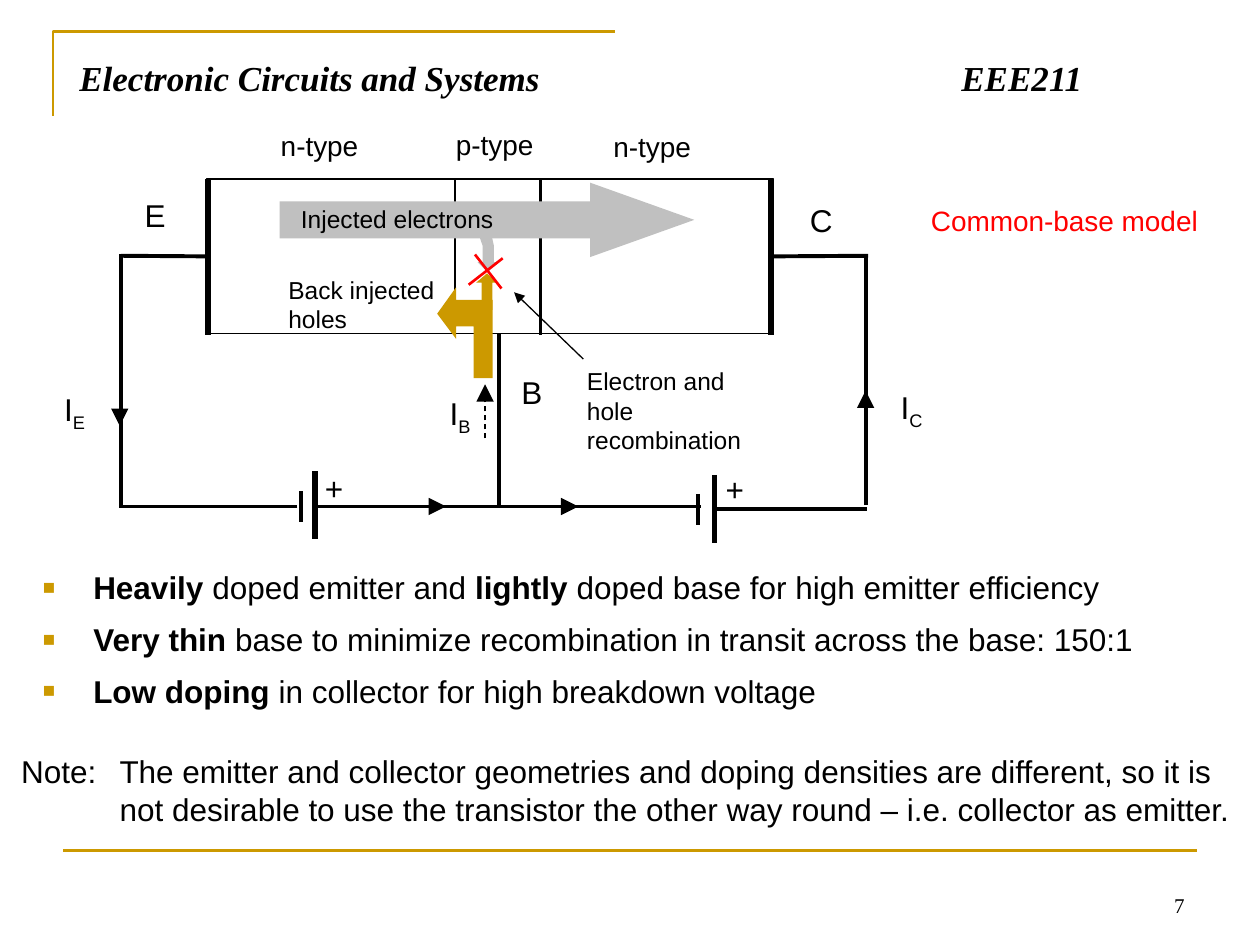
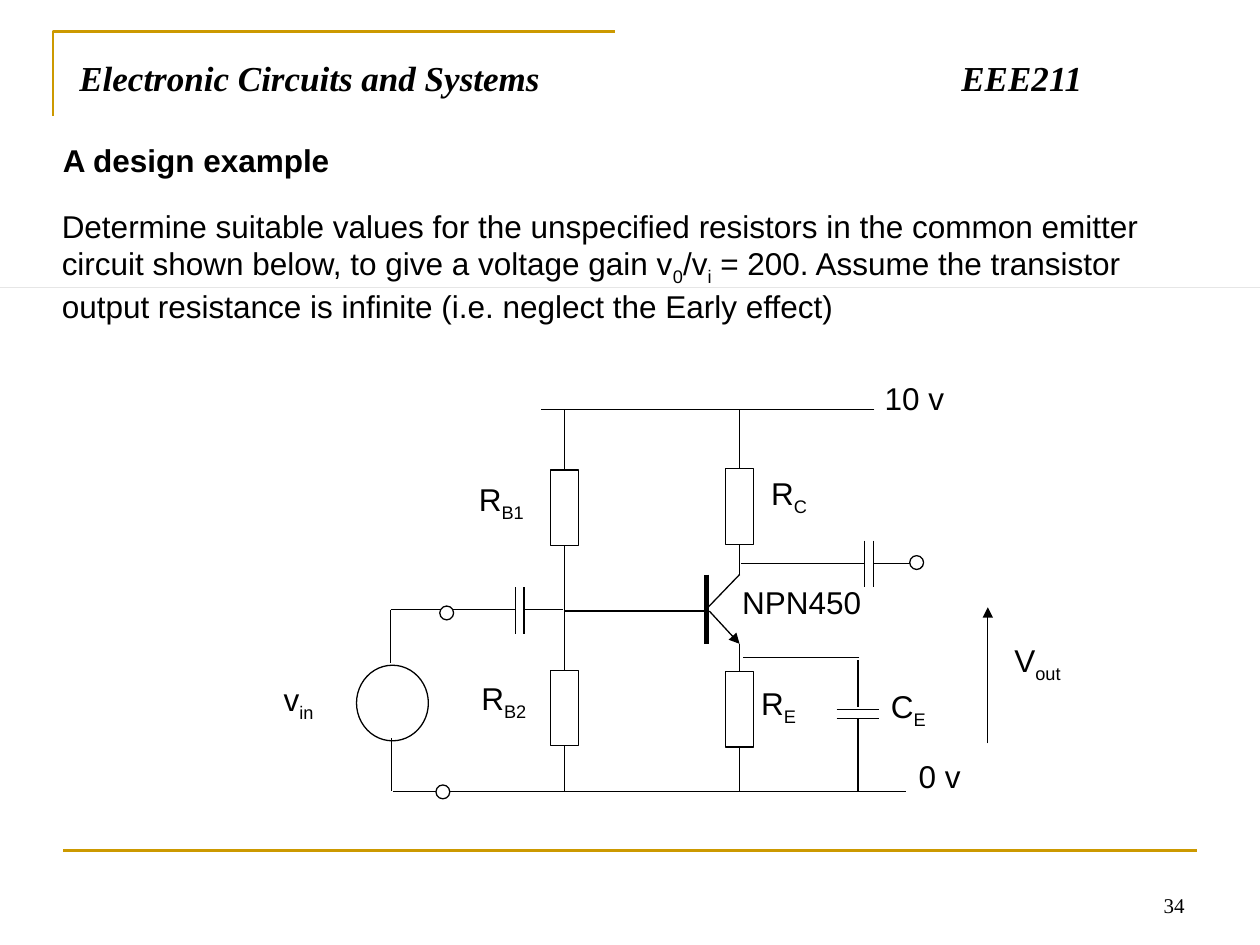
"""Build two lecture slides on bipolar transistors: common-base model and a design example."""
import pptx
import pptx.util
import pptx.dml.color
import pptx.enum.dml
import pptx.enum.shapes
import pptx.enum.text
import pptx.oxml.ns
from lxml import etree

Inches, Pt, qn = pptx.util.Inches, pptx.util.Pt, pptx.oxml.ns.qn
MSO_SHAPE = pptx.enum.shapes.MSO_SHAPE
COLORS = {"black": "000000", "gold": "CC9900", "silver": "C0C0C0", "red": "FF0000",
          "white": "FFFFFF", "hairline": "E6E6E6"}
RGB = {name: pptx.dml.color.RGBColor.from_string(code) for name, code in COLORS.items()}
SANS, SERIF = "Arial", "Times New Roman"


def write(paragraph, text, size=18, color="black", accent="subscript", font=SANS):
    """Fill a paragraph; every second part between bars is a subscript or bold."""
    for index, part in enumerate(text.split("|")):
        if not part:
            continue
        run = paragraph.add_run()
        run.text = part
        run.font.name, run.font.size = font, Pt(size)
        run.font.color.rgb = RGB[color]
        run.font.bold = accent == "bold" and index % 2 == 1
        if accent == "subscript" and index % 2 == 1:
            run.font._element.set("baseline", "-25000")


def wire(slide, x1, y1, x2, y2, weight=0.75, color="black", head=None, dashed=False):
    """Draw a straight line, with an arrowhead of the given size at its end."""
    connector = slide.shapes.add_connector(
        pptx.enum.shapes.MSO_CONNECTOR.STRAIGHT, Inches(x1), Inches(y1), Inches(x2), Inches(y2))
    connector.line.width = Pt(weight)
    connector.line.color.rgb = RGB[color]
    if dashed:
        connector.line.dash_style = pptx.enum.dml.MSO_LINE.DASH
    properties = connector.element.spPr
    if head:
        etree.SubElement(properties.find(qn("a:ln")), qn("a:tailEnd"),
                         type="triangle", w=head, len=head)
    etree.SubElement(properties, qn("a:effectLst"))
    return connector


presentation = pptx.Presentation()
presentation.slide_width, presentation.slide_height = Inches(10), Inches(7.5)
layout = presentation.slide_layouts[1]
model_slide = presentation.slides.add_slide(layout)
design_slide = presentation.slides.add_slide(layout)

builder = model_slide.shapes.build_freeform(Inches(0.42), Inches(0.92))
builder.add_line_segments([(Inches(0.42), Inches(0.25)), (Inches(4.88), Inches(0.25))], close=False)
corner = builder.convert_to_shape()
corner.shadow.inherit = False
corner.fill.background()
corner.line.color.rgb, corner.line.width = RGB["gold"], Pt(1.5)
rule = wire(model_slide, 0.5, 6.75, 9.5, 6.75, 1.5, "gold")
for part in (corner, rule):
    layout.element.cSld.spTree.append(part.element)

for slide, number, body_box in ((model_slide, "7", (0.24, 4.46, 9.6, 1.38)),
                                (design_slide, "34", (0.39, 1.59, 8.87, 1))):
    title, body = slide.shapes.title, slide.placeholders[1]
    for placeholder, box in ((title, (0.53, 0.4, 8.92, 0.61)), (body, body_box)):
        placeholder.left, placeholder.top, placeholder.width, placeholder.height = map(Inches, box)
        placeholder.text_frame.auto_size = pptx.enum.text.MSO_AUTO_SIZE.NONE
        placeholder.text_frame.vertical_anchor = pptx.enum.text.MSO_ANCHOR.TOP
    paragraph = title.text_frame.paragraphs[0]
    paragraph.text = "Electronic Circuits and Systems\tEEE211"
    paragraph.alignment = pptx.enum.text.PP_ALIGN.LEFT
    tabs = etree.SubElement(paragraph._p.get_or_add_pPr(), qn("a:tabLst"))
    etree.SubElement(tabs, qn("a:tab"), pos=str(Inches(7)), algn="l")
    font = paragraph.runs[0].font
    font.name, font.size, font.bold, font.italic = SERIF, Pt(20), True, True
    font.color.rgb = RGB["black"]
    page = slide.shapes.add_textbox(Inches(7.17), Inches(6.83), Inches(2.33), Inches(0.5))
    page.text_frame.word_wrap = True
    page.text_frame.vertical_anchor = pptx.enum.text.MSO_ANCHOR.BOTTOM
    page.text_frame.paragraphs[0].alignment = pptx.enum.text.PP_ALIGN.RIGHT
    write(page.text_frame.paragraphs[0], number, 12, font=SERIF)

bullets = ["|Heavily| doped emitter and |lightly| doped base for high emitter efficiency",
           "|Very thin |base to minimize recombination in transit across the base: 150:1",
           "|Low doping |in collector for high breakdown voltage"]
text_frame = model_slide.placeholders[1].text_frame
for index, bullet in enumerate(bullets):
    paragraph = text_frame.add_paragraph() if index else text_frame.paragraphs[0]
    paragraph.space_before, paragraph.space_after = Pt(0), Pt(8)
    properties = paragraph._p.get_or_add_pPr()
    properties.set("marL", str(Inches(0.4)))
    properties.set("indent", str(Inches(-0.4)))
    bullet_color = etree.SubElement(properties, qn("a:buClr"))
    etree.SubElement(bullet_color, qn("a:srgbClr"), val=COLORS["gold"])
    etree.SubElement(properties, qn("a:buSzPct"), val="65000")
    etree.SubElement(properties, qn("a:buFont"), typeface=SANS)
    etree.SubElement(properties, qn("a:buChar"), char="■")
    write(paragraph, bullet, accent="bold")

paragraph = design_slide.placeholders[1].text_frame.paragraphs[0]
paragraph.space_before = Pt(0)
properties = paragraph._p.get_or_add_pPr()
properties.set("marL", "0")
properties.set("indent", "0")
etree.SubElement(properties, qn("a:buNone"))
write(paragraph, "Determine suitable values for the unspecified resistors in the common emitter circuit "
      "shown below, to give a voltage gain v|0|/v|i| = 200. Assume the transistor output resistance "
      "is infinite (i.e. neglect the Early effect)")

transistor = model_slide.shapes.add_shape(
    MSO_SHAPE.RECTANGLE, Inches(1.64), Inches(1.42), Inches(4.5), Inches(1.23))
transistor.shadow.inherit = False
transistor.fill.background()
transistor.line.color.rgb, transistor.line.width = RGB["black"], Pt(0.75)
for x, weight in ((1.65, 3), (6.12, 3), (3.61, 1.5), (4.29, 1.5)):
    wire(model_slide, x, 1.42, x, 2.66, weight)

recombination = [(3.87, 2.16), (3.95, 2.08), (3.92, 2.08), (3.92, 1.95), (3.88, 1.77), (3.79, 1.67),
                 (3.67, 1.67), (3.67, 1.83), (3.79, 1.83), (3.83, 1.95), (3.83, 2.08), (3.79, 2.08)]
back_injection = [(3.47, 2.49), (3.62, 2.69), (3.62, 2.59), (3.76, 2.59), (3.76, 3), (3.91, 3),
                  (3.91, 2.38), (3.62, 2.38), (3.62, 2.28)]
flows = []
for color, outline in (("silver", recombination), ("gold", back_injection)):
    points = [(Inches(x), Inches(y)) for x, y in outline]
    builder = model_slide.shapes.build_freeform(*points[0])
    builder.add_line_segments(points[1:], close=True)
    flows.append((builder.convert_to_shape(), color))
for kind, box, head_length, color in (
        (MSO_SHAPE.RIGHT_ARROW, (2.22, 1.45, 3.29, 0.59), 1.4, "silver"),
        (MSO_SHAPE.UP_ARROW, (3.78, 2.17, 0.17, 0.29), 0.43, "gold")):
    arrow = model_slide.shapes.add_shape(kind, *map(Inches, box))
    arrow.adjustments[1] = head_length
    flows.append((arrow, color))
for flow, color in flows:
    flow.shadow.inherit = False
    flow.fill.solid()
    flow.fill.fore_color.rgb = RGB[color]
    flow.line.fill.background()

wire(model_slide, 3.99, 2.05, 3.72, 2.26, 1.5, "red")
wire(model_slide, 3.77, 2.02, 3.98, 2.29, 1.5, "red")
wire(model_slide, 4.63, 2.85, 4.08, 2.32, head="med")
wire(model_slide, 1.64, 2.03, 0.96, 2.03, 2.25).begin_connect(transistor, 1)
wire(model_slide, 6.89, 2.03, 6.14, 2.03, 2.25).end_connect(transistor, 3)
for line in ((5.56, 4.02, 2.49, 4.02), (2.36, 4.02, 0.96, 4.02), (0.96, 4.03, 0.96, 2.02),
             (2.39, 3.9, 2.39, 4.14), (6.88, 4.04, 5.69, 4.04), (5.54, 3.92, 5.54, 4.17),
             (3.96, 4.03, 3.96, 2.64), (6.87, 4.01, 6.87, 2.03)):
    wire(model_slide, *line, 2.25)
for x, y in ((2.5, 3.74), (5.67, 3.77)):
    wire(model_slide, x, y, x, y + 0.54, 3)
for line in ((0.95, 2.94, 0.95, 3.38), (6.87, 3.53, 6.87, 3.1),
             (4.15, 4.02, 4.59, 4.02), (3.1, 4.02, 3.54, 4.02)):
    wire(model_slide, *line, head="lg")
wire(model_slide, 3.85, 3.48, 3.85, 3.05, head="lg", dashed=True)

wire(design_slide, 0, 2.28, 10, 2.28, 0.5, "hairline")
for x, top, wire_top, wire_bottom in ((5.87, 3.72, 3.25, 4.56), (5.87, 5.33, 5.11, 6.28),
                                      (4.48, 3.73, 3.25, 4.84), (4.48, 5.32, 4.84, 6.28)):
    resistor = design_slide.shapes.add_shape(
        MSO_SHAPE.RECTANGLE, Inches(x - 0.11), Inches(top), Inches(0.22), Inches(0.6))
    resistor.shadow.inherit = False
    resistor.fill.solid()
    resistor.fill.fore_color.rgb = RGB["white"]
    resistor.line.color.rgb, resistor.line.width = RGB["black"], Pt(0.75)
    wire(design_slide, x, wire_top, x, top).end_connect(resistor, 0)
    wire(design_slide, x, top + 0.6, x, wire_bottom).begin_connect(resistor, 2)

wire(design_slide, 5.61, 4.56, 5.61, 5.11, 3)
wire(design_slide, 5.63, 4.85, 5.87, 5.11, head="med")
wire(design_slide, 7.84, 5.9, 7.84, 4.82, head="med")
for line in ((5.61, 4.83, 5.87, 4.56), (5.6, 4.85, 4.48, 4.85), (6.94, 3.25, 4.29, 3.25),
             (7.19, 6.28, 3.12, 6.28), (5.88, 4.47, 6.86, 4.47), (6.94, 4.47, 7.24, 4.47),
             (3.1, 4.84, 4.09, 4.84), (4.17, 4.84, 4.47, 4.84), (3.1, 4.84, 3.1, 5.26),
             (3.11, 5.86, 3.11, 6.28), (6.81, 6.28, 6.81, 5.7), (6.81, 5.61, 6.81, 5.24),
             (6.82, 5.22, 5.9, 5.22)):
    wire(design_slide, *line)
for x, y in ((6.86, 4.29), (6.93, 4.29), (4.09, 4.66), (4.16, 4.66)):
    wire(design_slide, x, y, x, y + 0.37)
for y in (5.63, 5.7):
    wire(design_slide, 6.64, y, 6.98, y)
for x, y, width, height, color in ((2.83, 5.28, 0.57, 0.6, None), (7.22, 4.41, 0.11, 0.11, "white"),
                                   (3.49, 4.81, 0.11, 0.11, "white"), (3.46, 6.23, 0.11, 0.11, "white")):
    circle = design_slide.shapes.add_shape(
        MSO_SHAPE.OVAL, Inches(x), Inches(y), Inches(width), Inches(height))
    circle.shadow.inherit = False
    if color:
        circle.fill.solid()
        circle.fill.fore_color.rgb = RGB[color]
    else:
        circle.fill.background()
    circle.line.color.rgb, circle.line.width = RGB["black"], Pt(0.75)

model_labels = [
    ("Injected electrons", 2.29, 1.57, 2.22, 0.33, 14), ("Back injected holes", 2.19, 2.13, 1.45, 0.57, 14),
    ("Electron and hole recombination", 4.56, 2.86, 1.62, 0.8, 14),
    ("n-type", 2.13, 0.97, 1.1, 0.37, 16), ("p-type", 3.52, 0.96, 0.96, 0.37, 16),
    ("n-type", 4.77, 0.98, 0.96, 0.37, 16), ("Common-base model", 7.29, 1.57, 2.56, 0.37, 16, "red"),
    ("E", 1.05, 1.51, 0.42, 0.4), ("C", 6.33, 1.55, 0.42, 0.4), ("B", 4.04, 2.91, 0.42, 0.4),
    ("+", 2.48, 3.67, 0.38, 0.4), ("+", 5.66, 3.68, 0.38, 0.4),
    ("I|E", 0.41, 3.05, 0.48, 0.4), ("I|B", 3.47, 3.08, 0.48, 0.4), ("I|C", 7.05, 3.03, 0.48, 0.4)]
design_labels = [
    ("NPN450", 5.82, 4.6, 1.34, 0.43), ("R|C", 6.05, 3.73, 0.84, 0.43), ("R|B1", 3.73, 3.78, 0.69, 0.43),
    ("R|B2", 3.75, 5.36, 0.68, 0.43), ("R|E", 5.97, 5.4, 0.55, 0.43), ("C|E", 7, 5.42, 0.55, 0.43),
    ("10 v", 6.95, 2.98, 0.81, 0.47), ("0 v", 7.22, 5.98, 0.69, 0.47),
    ("v|in", 2.18, 5.37, 0.65, 0.47), ("V|out", 7.98, 5.06, 0.79, 0.47)]
for slide, labels, side, edge in ((model_slide, model_labels, 0.1, 0.05),
                                  (design_slide, design_labels, 0.07, 0.03)):
    for text, x, y, width, height, *style in labels:
        label = slide.shapes.add_textbox(Inches(x), Inches(y), Inches(width), Inches(height))
        text_frame = label.text_frame
        text_frame.word_wrap = True
        text_frame.margin_left = text_frame.margin_right = Inches(side)
        text_frame.margin_top = text_frame.margin_bottom = Inches(edge)
        write(text_frame.paragraphs[0], text, *style)

note = model_slide.shapes.add_textbox(Inches(0.07), Inches(5.92), Inches(9.82), Inches(0.7))
note.text_frame.word_wrap = True
paragraph = note.text_frame.paragraphs[0]
properties = paragraph._p.get_or_add_pPr()
properties.set("marL", str(Inches(0.78)))
properties.set("indent", str(Inches(-0.78)))
write(paragraph, "Note:\tThe emitter and collector geometries and doping densities are different, so it is "
      "not desirable to use the transistor the other way round – i.e. collector as emitter.")

heading = design_slide.shapes.add_textbox(Inches(0.4), Inches(1.07), Inches(2.42), Inches(0.4))
heading.text_frame.word_wrap = True
heading.text_frame.vertical_anchor = pptx.enum.text.MSO_ANCHOR.MIDDLE
write(heading.text_frame.paragraphs[0], "|A design example", accent="bold")

presentation.save("out.pptx")
